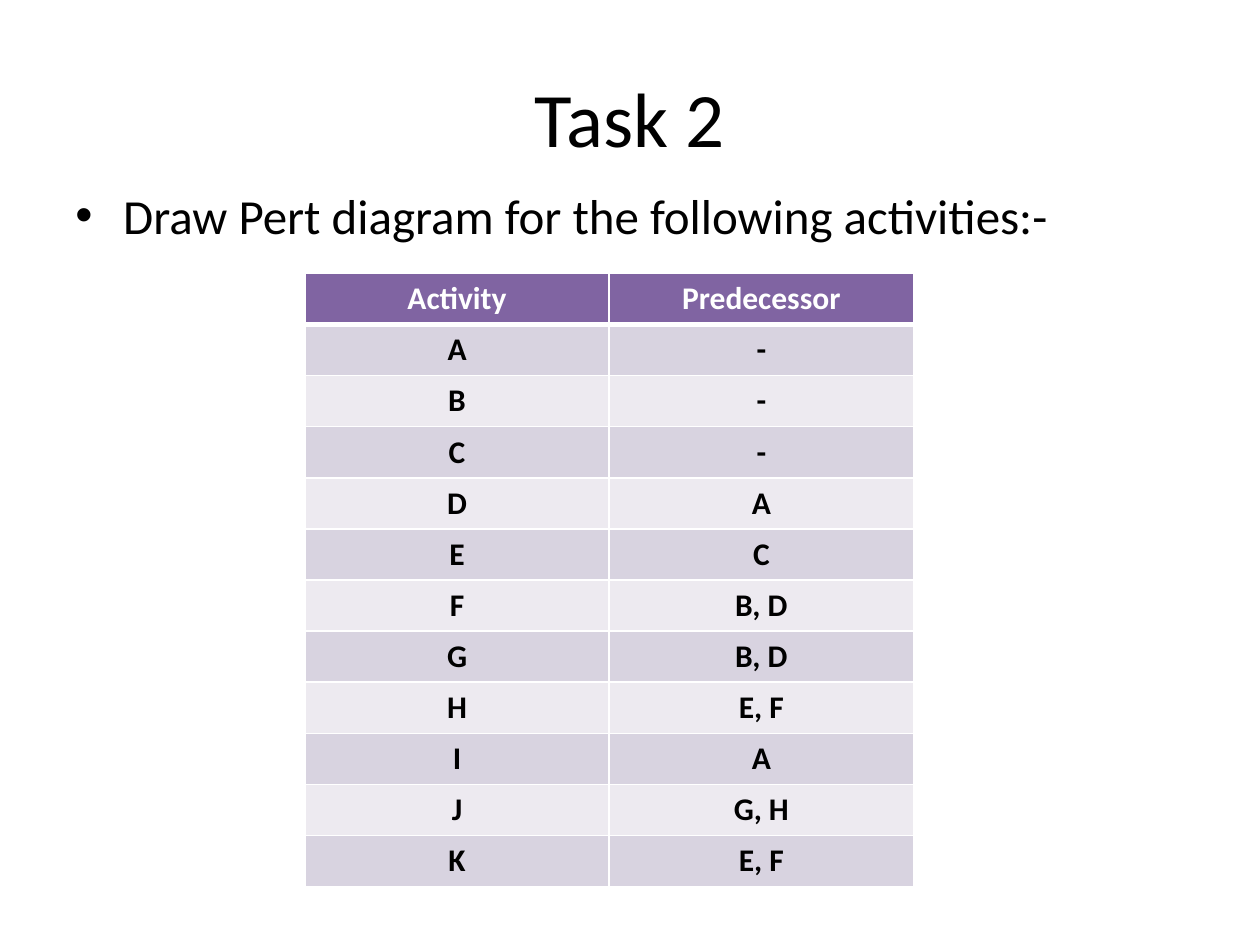
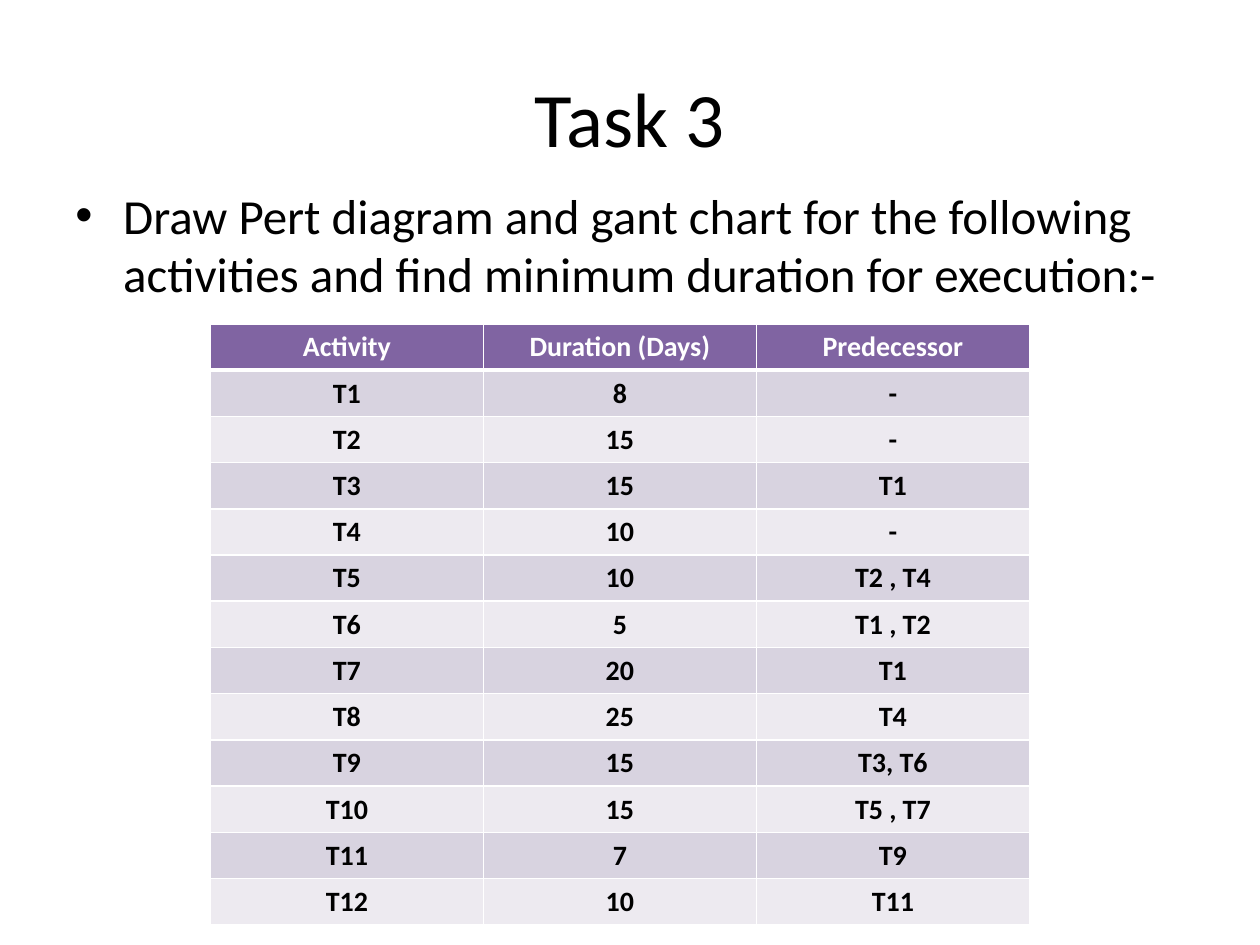
from dataclasses import dataclass

from lxml import etree
from pptx import Presentation
from pptx.dml.color import RGBColor
from pptx.enum import text
from pptx.oxml import ns
from pptx.slide import Slide
from pptx.table import _Cell
from pptx.util import Inches, Pt

FONT = "Calibri"
BLACK, WHITE, PURPLE = "000000", "FFFFFF", "8064A2"
BANDS = ("EDEAF0", "D8D3E0")


@dataclass(frozen=True)
class Task:
    title: str
    instruction: str
    left: float
    top: float
    width: float
    height: float
    size: int
    rows: list[tuple[str, ...]]


TASKS = [
    Task(
        "Task 2",
        "Draw Pert diagram for the following activities:-",
        2.42, 2.17, 4.83, 4.87, 18,
        [
            ("Activity", "Predecessor"),
            ("A", "-"),
            ("B", "-"),
            ("C", "-"),
            ("D", "A"),
            ("E", "C"),
            ("F", "B, D"),
            ("G", "B, D"),
            ("H", "E, F"),
            ("I", "A"),
            ("J", "G, H"),
            ("K", "E, F"),
        ],
    ),
    Task(
        "Task 3",
        "Draw Pert diagram and gant chart for the following activities "
        "and find minimum duration for execution:-",
        1.67, 2.57, 6.5, 4.77, 16,
        [
            ("Activity", "Duration (Days)", "Predecessor"),
            ("T1", "8", "-"),
            ("T2", "15", "-"),
            ("T3", "15", "T1"),
            ("T4", "10", "-"),
            ("T5", "10", "T2 , T4"),
            ("T6", "5", "T1 , T2"),
            ("T7", "20", "T1"),
            ("T8", "25", "T4"),
            ("T9", "15", "T3, T6"),
            ("T10", "15", "T5 , T7"),
            ("T11", "7", "T9"),
            ("T12", "10", "T11"),
        ],
    ),
]


def color(value: str) -> RGBColor:
    return RGBColor.from_string(value)


def write(frame, words: str, size: int, ink: str = BLACK, bold: bool = False):
    paragraph = frame.paragraphs[0]
    paragraph.text = words
    paragraph.font.name = FONT
    paragraph.font.size = Pt(size)
    paragraph.font.bold = bold
    paragraph.font.color.rgb = color(ink)
    return paragraph


def add_title(slide: Slide, words: str) -> None:
    frame = slide.shapes.add_textbox(
        Inches(0.5), Inches(0.3), Inches(9), Inches(1.25)).text_frame
    frame.word_wrap = True
    frame.vertical_anchor = text.MSO_ANCHOR.MIDDLE
    write(frame, words, 44).alignment = text.PP_ALIGN.CENTER


def add_instruction(slide: Slide, words: str) -> None:
    frame = slide.shapes.add_textbox(
        Inches(0.5), Inches(1.42), Inches(9), Inches(5.28)).text_frame
    frame.word_wrap = True
    properties = write(frame, words, 28)._p.get_or_add_pPr()
    indent = Inches(0.38)
    properties.set("marL", str(indent))
    properties.set("indent", str(-indent))
    etree.SubElement(properties, ns.qn("a:buFont"), typeface="Arial")
    etree.SubElement(properties, ns.qn("a:buChar"), char="•")


def add_border(cell: _Cell, side: str, points: int) -> None:
    border = etree.SubElement(
        cell._tc.get_or_add_tcPr(), ns.qn(f"a:ln{side}"), w=str(Pt(points)))
    fill = etree.SubElement(border, ns.qn("a:solidFill"))
    etree.SubElement(fill, ns.qn("a:srgbClr"), val=WHITE)


def style_cell(cell: _Cell, words: str, row: int, size: int) -> None:
    header = row == 0
    paragraph = write(cell.text_frame, words, size, WHITE if header else BLACK, True)
    paragraph.alignment = text.PP_ALIGN.CENTER
    widths = {"L": 1, "R": 1, "T": 3 if row == 1 else 1, "B": 3 if header else 1}
    for side, points in widths.items():
        add_border(cell, side, points)
    cell.fill.solid()
    cell.fill.fore_color.rgb = color(PURPLE if header else BANDS[row % 2])


def add_activities(slide: Slide, task: Task) -> None:
    activities = slide.shapes.add_table(
        len(task.rows), len(task.rows[0]), Inches(task.left), Inches(task.top),
        Inches(task.width), Inches(task.height)).table
    for row, values in enumerate(task.rows):
        for column, value in enumerate(values):
            style_cell(activities.cell(row, column), value, row, task.size)


def main() -> None:
    deck = Presentation()
    deck.slide_width, deck.slide_height = Inches(10), Inches(7.5)
    for task in TASKS:
        slide = deck.slides.add_slide(deck.slide_layouts[6])
        add_title(slide, task.title)
        add_instruction(slide, task.instruction)
        add_activities(slide, task)
    deck.save("out.pptx")


if __name__ == "__main__":
    main()
